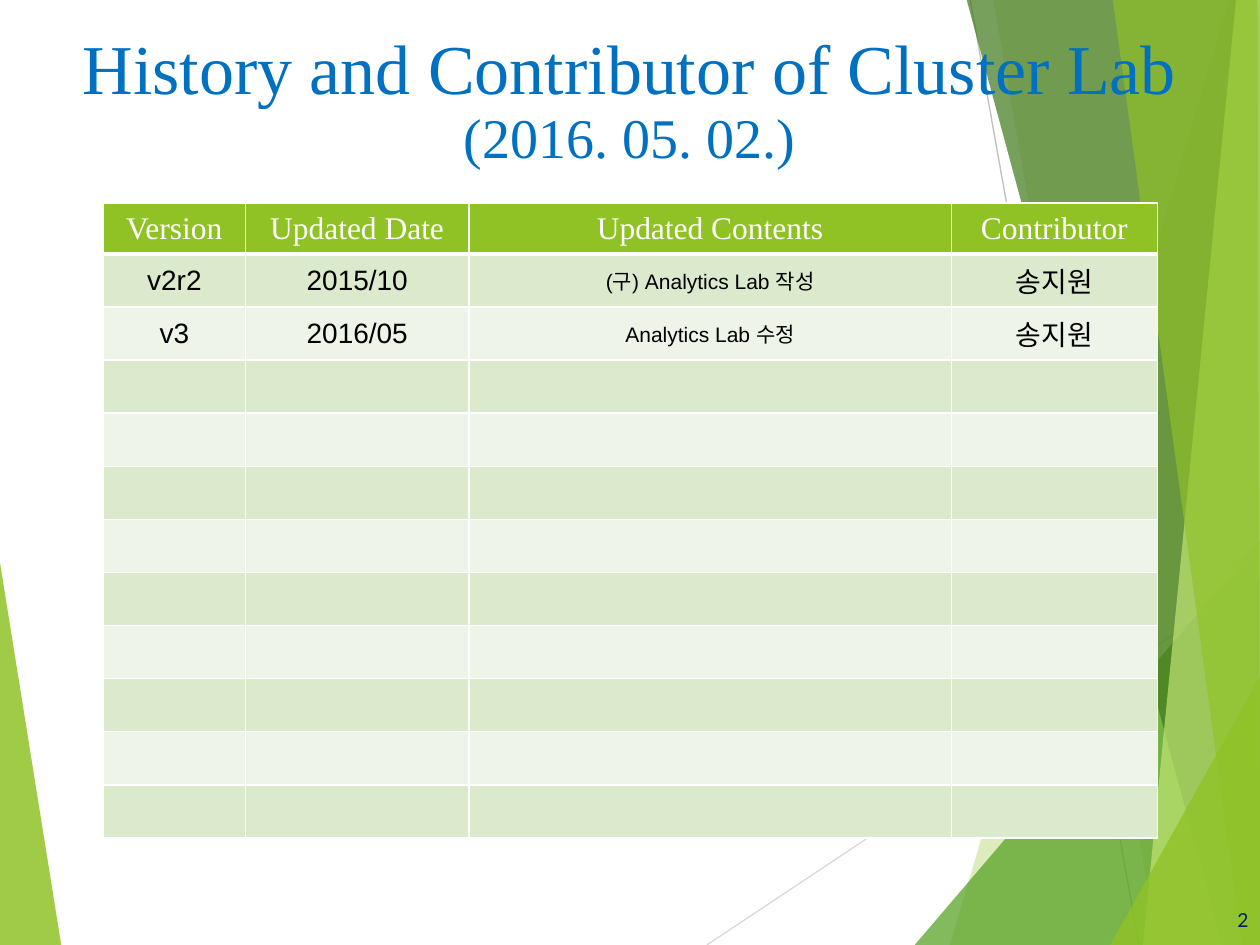
from lxml import etree
from pptx import Presentation
from pptx.dml.color import RGBColor
from pptx.enum.shapes import MSO_CONNECTOR
from pptx.enum.text import MSO_ANCHOR, PP_ALIGN
from pptx.oxml.ns import qn
from pptx.util import Cm, Pt

LINE = MSO_CONNECTOR.STRAIGHT
MID = MSO_ANCHOR.MIDDLE
MID_X, RIGHT = PP_ALIGN.CENTER, PP_ALIGN.RIGHT


def paint(fill, color, alpha=100):
    fill.solid()
    fill.fore_color.rgb = RGBColor.from_string(color)
    if alpha < 100:
        node = fill._xPr.find(qn("a:solidFill"))[0]
        etree.SubElement(node, qn("a:alpha"), val=str(alpha * 1000))


def style(par, size, face, color, align):
    par.alignment = align
    for run in par.runs:
        font = run.font
        font.size, font.name, font.bold = Pt(size), face, False
        paint(font.fill, color)


deck = Presentation()
deck.slide_width, deck.slide_height = Cm(25.4), Cm(19.05)
slide = deck.slides.add_slide(deck.slide_layouts[6])
shapes = slide.shapes

top, base, edge = -0.03, 19.05, 25.43
left = [("90C226", 85, [(-0.03, 11.15), (1.24, 19.08), (-0.03, base)])]
right = [
    ("90C226", 30, [(24.77, 0), (19.15, base), (25.45, 19.08), (edge, 0.03)]),
    ("90C226", 20, [(20.02, top), (23.34, base), (edge, base), (edge, top)]),
    ("54A021", 72, [(18.44, base), (25.4, 10.9), (edge, base)]),
    ("3F7819", 70, [(19.48, top), (24.64, base), (edge, base), (edge, top)]),
    ("C0E474", 70, [(24.92, top), (23.04, base), (edge, base), (25.4, top)]),
    ("90C226", 65, [(22.43, top), (25.04, base), (25.4, base), (25.35, top)]),
    ("90C226", 80, [(22.38, base), (edge, 13.59), (edge, base)]),
]
rays = [
    ("D9D9D9", (14.25, base, edge, 11.61)),
    ("BFBFBF", (19.56, 0, 22.96, base)),
]

for facets in (left, rays, right):
    if facets is rays:
        for color, ends in rays:
            ray = shapes.add_connector(LINE, *[Cm(n) for n in ends])
            paint(ray.line.fill, color)
            ray.line.width = Pt(0.75)
            etree.SubElement(ray._element.spPr, qn("a:effectLst"))
        continue
    for color, alpha, spots in facets:
        spots = [(Cm(x), Cm(y)) for x, y in spots]
        pen = shapes.build_freeform(*spots[0])
        pen.add_line_segments(spots[1:])
        facet = pen.convert_to_shape()
        facet.shadow.inherit = False
        paint(facet.fill, color, alpha)
        facet.line.fill.background()

title = shapes.add_textbox(Cm(1.12), Cm(0.89), Cm(23.14), Cm(2.34))
frame = title.text_frame
frame.word_wrap = True
frame.vertical_anchor = MID
frame.text = "History and Contributor of Cluster Lab\n(2016. 05. 02.)"
for par, size in zip(frame.paragraphs, (40, 32)):
    par.line_spacing = 0.9
    style(par, size, "Times New Roman", "0070C0", MID_X)

rows = [
    ("Version", "Updated Date", "Updated Contents", "Contributor"),
    ("v2r2", "2015/10", "(구) Analytics Lab 작성", "송지원"),
    ("v3", "2016/05", "Analytics Lab 수정", "송지원"),
] + [("",) * 4] * 9
widths = [2.87, 4.5, 9.73, 4.15]
grid = shapes.add_table(
    len(rows), len(widths), Cm(2.08), Cm(4.09), Cm(sum(widths)), Cm(12.8)
).table
grid.first_row = grid.horz_banding = False
for col, width in zip(grid.columns, widths):
    col.width = Cm(width)

for r, row in enumerate(rows):
    grid.rows[r].height = Cm(1.07 if r else 1.03)
    for c, text in enumerate(row):
        cell = grid.cell(r, c)
        cell.vertical_anchor = MID
        props = cell._tc.get_or_add_tcPr()
        for side in ("lnL", "lnR", "lnT", "lnB"):
            thick = (r, side) in ((0, "lnB"), (1, "lnT"))
            rim = etree.SubElement(
                props, qn("a:" + side), w=str(Pt(3 if thick else 1))
            )
            ink = etree.SubElement(rim, qn("a:solidFill"))
            etree.SubElement(ink, qn("a:srgbClr"), val="FFFFFF")
        par = cell.text_frame.paragraphs[0]
        par.text = text
        if r == 0:
            paint(cell.fill, "90C226")
            style(par, 18, "Times New Roman", "FFFFFF", MID_X)
        else:
            paint(cell.fill, "DBE9CD" if r % 2 else "EEF4E8")
            style(par, 12 if c == 2 else 16, "Arial", "000000", MID_X)

page = shapes.add_textbox(Cm(24), Cm(18.03), Cm(1.42), Cm(1.02))
frame = page.text_frame
frame.word_wrap = True
frame.vertical_anchor = MID
frame.text = "2"
style(frame.paragraphs[0], 11, "Lato", "002060", RIGHT)

deck.save("out.pptx")
